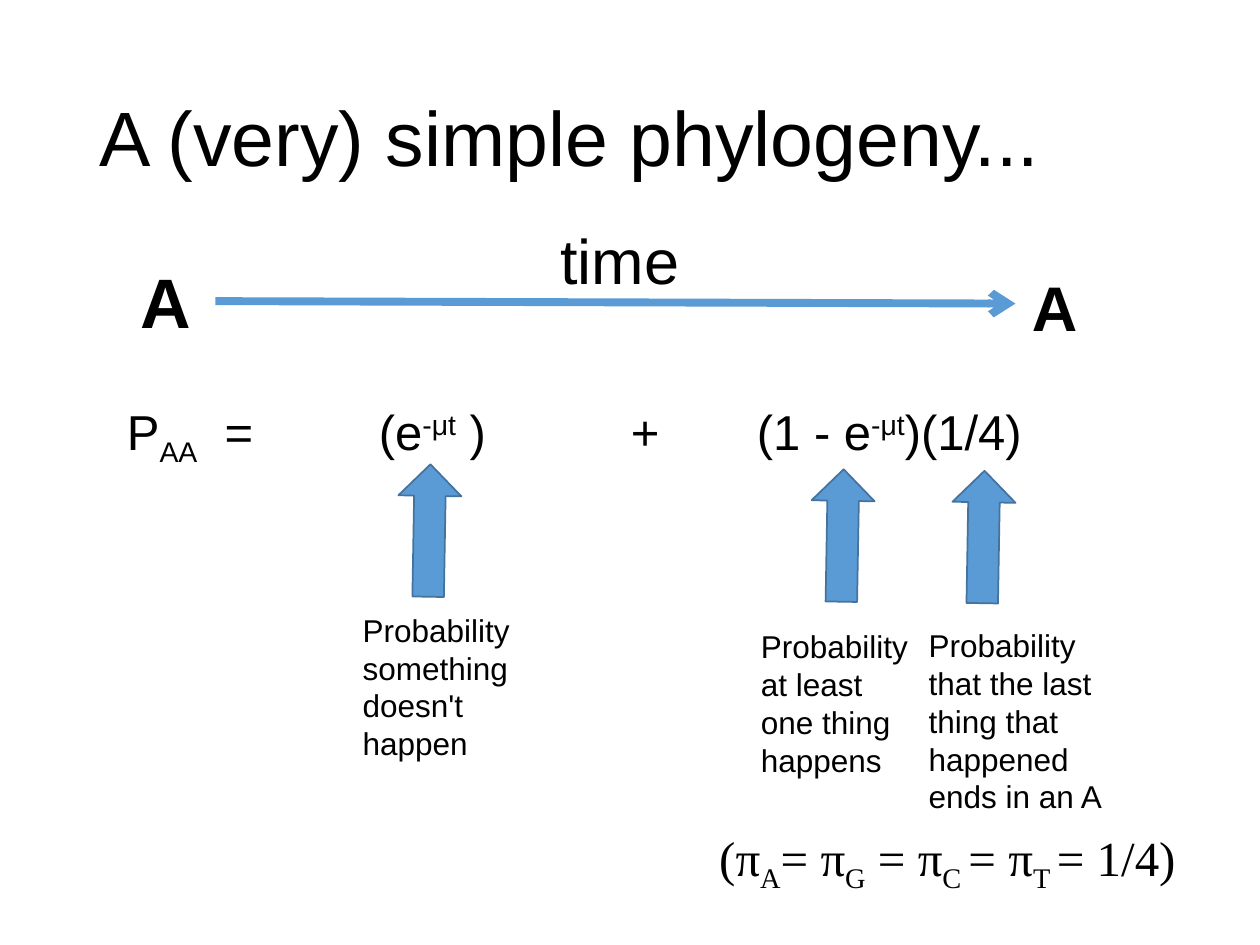
from lxml.etree import SubElement
from pptx import Presentation
from pptx.dml.color import RGBColor
from pptx.enum.shapes import MSO_CONNECTOR, MSO_SHAPE
from pptx.enum.text import MSO_ANCHOR, MSO_AUTO_SIZE, PP_ALIGN
from pptx.oxml.ns import qn
from pptx.util import Cm, Pt

BLUE = "5B9BD5"
DARK_BLUE = "43739E"
BLACK = "000000"
SUB, SUP = -25000, 30000


def color(hex_value):
    return RGBColor.from_string(hex_value)


def place(sp, left, top, width, height):
    sp.left, sp.top, sp.width, sp.height = Cm(left), Cm(top), Cm(width), Cm(height)


def add_tab_stops(p, stops):
    tab_list = SubElement(p._p.get_or_add_pPr(), qn("a:tabLst"))
    for stop in stops:
        SubElement(tab_list, qn("a:tab"), pos=str(int(Cm(stop))), algn="l")


def write(tf, text, size=18, font="Arial", bold=False, spacing=None,
          wrap=True, anchor=MSO_ANCHOR.TOP, tabs=()):
    """Fill a frame with a string or a list of (text, baseline) pieces."""
    tf.word_wrap = wrap
    tf.vertical_anchor = anchor
    p = tf.paragraphs[0]
    p.alignment = PP_ALIGN.LEFT
    p.line_spacing = spacing
    if tabs:
        add_tab_stops(p, tabs)
    pieces = [(text, 0)] if isinstance(text, str) else text
    for piece, baseline in pieces:
        r = p.add_run()
        r.text = piece
        r.font.name = font
        r.font.size = Pt(size)
        r.font.bold = bold
        r.font.color.rgb = color(BLACK)
        if baseline:
            r.font._element.set("baseline", str(baseline))


def add_title(s, text):
    sp = s.shapes.title
    place(sp, 1.75, 1.02, 21.92, 3.68)
    write(sp.text_frame, text, size=44, spacing=0.9, anchor=MSO_ANCHOR.MIDDLE)


def add_text(s, box, text, grow=True, **fmt):
    sp = s.shapes.add_textbox(*map(Cm, box))
    write(sp.text_frame, text, **fmt)
    if grow:
        sp.text_frame.auto_size = MSO_AUTO_SIZE.SHAPE_TO_FIT_TEXT


def add_time_line(s, x1, y1, x2, y2):
    line = s.shapes.add_connector(MSO_CONNECTOR.STRAIGHT, Cm(x1), Cm(y1), Cm(x2), Cm(y2))
    line.line.color.rgb = color(BLUE)
    line.line.width = Pt(4.5)
    SubElement(line.line._get_or_add_ln(), qn("a:tailEnd"), type="arrow")
    SubElement(line._element.spPr, qn("a:effectLst"))


def add_up_arrow(s, left, top):
    sp = s.shapes.add_shape(MSO_SHAPE.RIGHT_ARROW, Cm(left), Cm(top), Cm(2.67), Cm(1.27))
    sp.rotation = 271
    sp.shadow.inherit = False
    sp.fill.solid()
    sp.fill.fore_color.rgb = color(BLUE)
    sp.line.color.rgb = color(DARK_BLUE)
    sp.line.width = Pt(1)


def main():
    prs = Presentation()
    prs.slide_width, prs.slide_height = Cm(25.4), Cm(19.05)
    s = prs.slides.add_slide(prs.slide_layouts[5])

    add_title(s, "A (very) simple phylogeny...")
    add_time_line(s, 4.34, 6.07, 20.47, 6.12)
    add_text(s, (11.05, 4.34, 4.17, 1.78), "time", size=36)
    add_text(s, (2.59, 5.08, 3.23, 1.96), "A", size=40, bold=True)
    add_text(s, (20.55, 5.28, 2.41, 1.78), "A", size=36, bold=True)

    equation = [("P", 0), ("AA", SUB), ("  = \t(e", 0), ("-μt", SUP),
                (" ) \t\t+ \t(1 - e", 0), ("-μt", SUP), (")(1/4)", 0)]
    add_text(s, (2.31, 7.98, 21.92, 11), equation, grow=False, size=28, spacing=0.9,
             tabs=[2.54 * n for n in range(2, 6)])

    terms = [
        ((7.32, 10.06), (7.06, 12.19, 4.42, 3.3), "Probability something doesn't happen"),
        ((15.65, 10.16), (15.09, 12.52, 3.61, 3.3), "Probability at least one thing happens"),
        ((18.49, 10.19), (18.47, 12.5, 4.42, 4.06),
         "Probability that the last thing that happened ends in an A"),
    ]
    for arrow, box, meaning in terms:
        add_up_arrow(s, *arrow)
        add_text(s, box, meaning)

    frequencies = [("(π", 0), ("A", SUB), ("= π", 0), ("G", SUB), (" = π", 0),
                   ("C ", SUB), ("= π", 0), ("T ", SUB), ("= 1/4)", 0)]
    add_text(s, (14.25, 16.56, 9.93, 1.45), frequencies, size=28,
             font="Times New Roman", wrap=False)

    prs.save("out.pptx")


if __name__ == "__main__":
    main()
